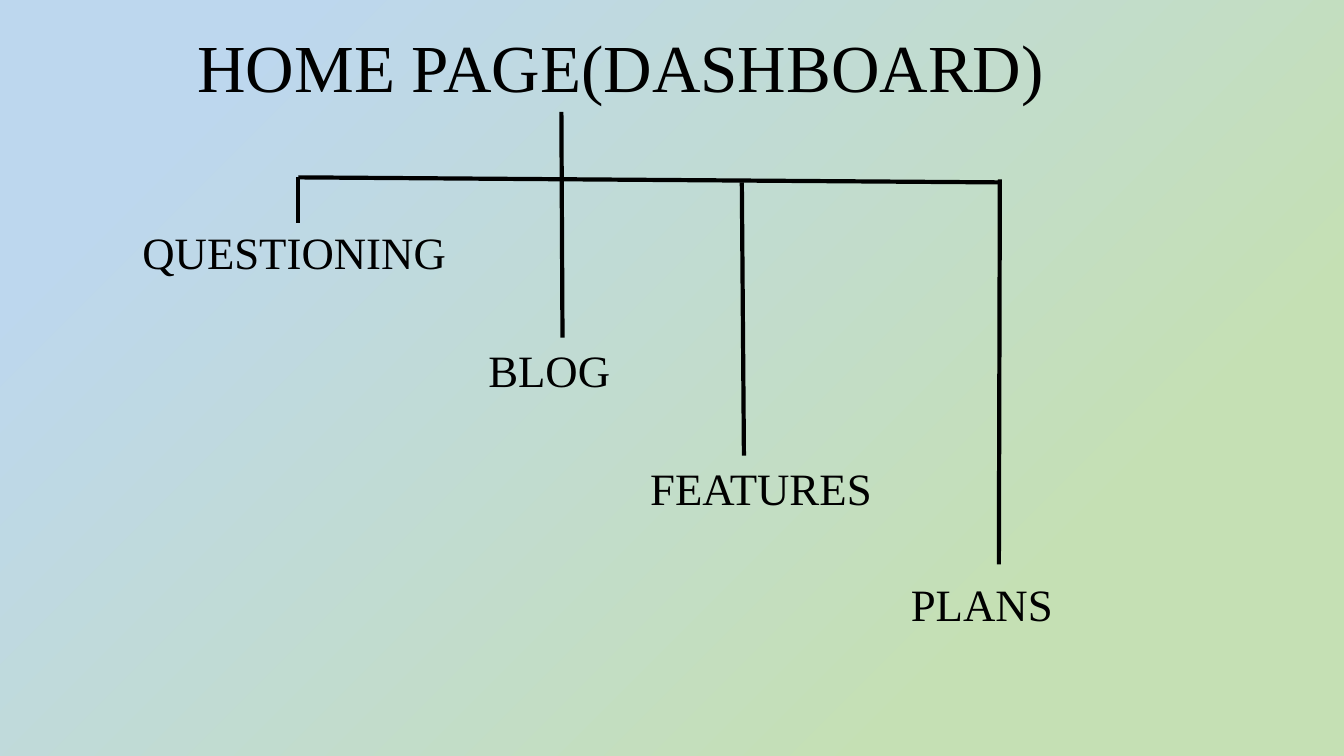
from dataclasses import dataclass

from lxml.etree import SubElement
from pptx import Presentation
from pptx.dml.color import RGBColor as Rgb
from pptx.enum.shapes import MSO_CONNECTOR as Connector
from pptx.enum.text import MSO_AUTO_SIZE as AutoSize, PP_ALIGN as Align
from pptx.oxml import parse_xml
from pptx.oxml.ns import nsdecls, qn
from pptx.slide import Slide
from pptx.util import Pt

COLORS = {"ink": "000000", "green": "C5E0B4", "blue": "BDD7EE"}
FONT = "Times New Roman"
PAGE_HEIGHT = 46


@dataclass(frozen=True)
class Page:
    name: str
    left: float
    top: float
    width: float


@dataclass(frozen=True)
class Branch:
    x1: float
    y1: float
    x2: float
    y2: float


PAGES = [
    Page("QUESTIONING", 93.6, 157, 233.3),
    Page("BLOG", 341.3, 241.2, 102.2),
    Page("FEATURES", 456.5, 325.4, 174.2),
    Page("PLANS", 643, 408.2, 116.6),
]

BRANCHES = [
    Branch(213.1, 126.7, 714.2, 130.3),
    Branch(714.2, 128.2, 713.5, 403.2),
    Branch(529.9, 130.3, 531.4, 325.4),
    Branch(213.1, 126.7, 213.1, 159.1),
    Branch(401, 79.9, 401.8, 241.2),
]


def paint_background(slide: Slide) -> None:
    background = parse_xml(
        f'<p:bg {nsdecls("p", "a")}><p:bgPr><a:gradFill rotWithShape="1"><a:gsLst>'
        f'<a:gs pos="22000"><a:srgbClr val="{COLORS["green"]}"/></a:gs>'
        f'<a:gs pos="86000"><a:srgbClr val="{COLORS["blue"]}"/></a:gs>'
        '</a:gsLst><a:path path="circle"><a:fillToRect l="100000" t="100000"/></a:path>'
        "</a:gradFill><a:effectLst/></p:bgPr></p:bg>"
    )
    slide.element.cSld.insert(0, background)


def add_label(slide: Slide, text: str, *, left: float, top: float, width: float,
              height: float = PAGE_HEIGHT, size: float = 32) -> None:
    label = slide.shapes.add_textbox(Pt(left), Pt(top), Pt(width), Pt(height))
    frame = label.text_frame
    frame.word_wrap = False
    frame.auto_size = AutoSize.SHAPE_TO_FIT_TEXT
    paragraph = frame.paragraphs[0]
    paragraph.alignment = Align.CENTER
    run = paragraph.add_run()
    run.text = text
    run.font.name = FONT
    run.font.size = Pt(size)
    run.font.color.rgb = Rgb.from_string(COLORS["ink"])


def add_branch(slide: Slide, branch: Branch) -> None:
    line = slide.shapes.add_connector(
        Connector.STRAIGHT, Pt(branch.x1), Pt(branch.y1), Pt(branch.x2), Pt(branch.y2)
    )
    line.line.color.rgb = Rgb.from_string(COLORS["ink"])
    line.line.width = Pt(3)
    SubElement(line.element.spPr, qn("a:effectLst"))


def main() -> None:
    deck = Presentation()
    deck.slide_width, deck.slide_height = Pt(960), Pt(540)
    sitemap = deck.slides.add_slide(deck.slide_layouts[6])
    paint_background(sitemap)
    add_label(sitemap, "HOME PAGE(DASHBOARD)", left=131, top=14.4, width=625,
              height=65.4, size=48)
    for page in PAGES:
        add_label(sitemap, page.name, left=page.left, top=page.top, width=page.width)
    for branch in BRANCHES:
        add_branch(sitemap, branch)
    deck.save("out.pptx")


if __name__ == "__main__":
    main()
